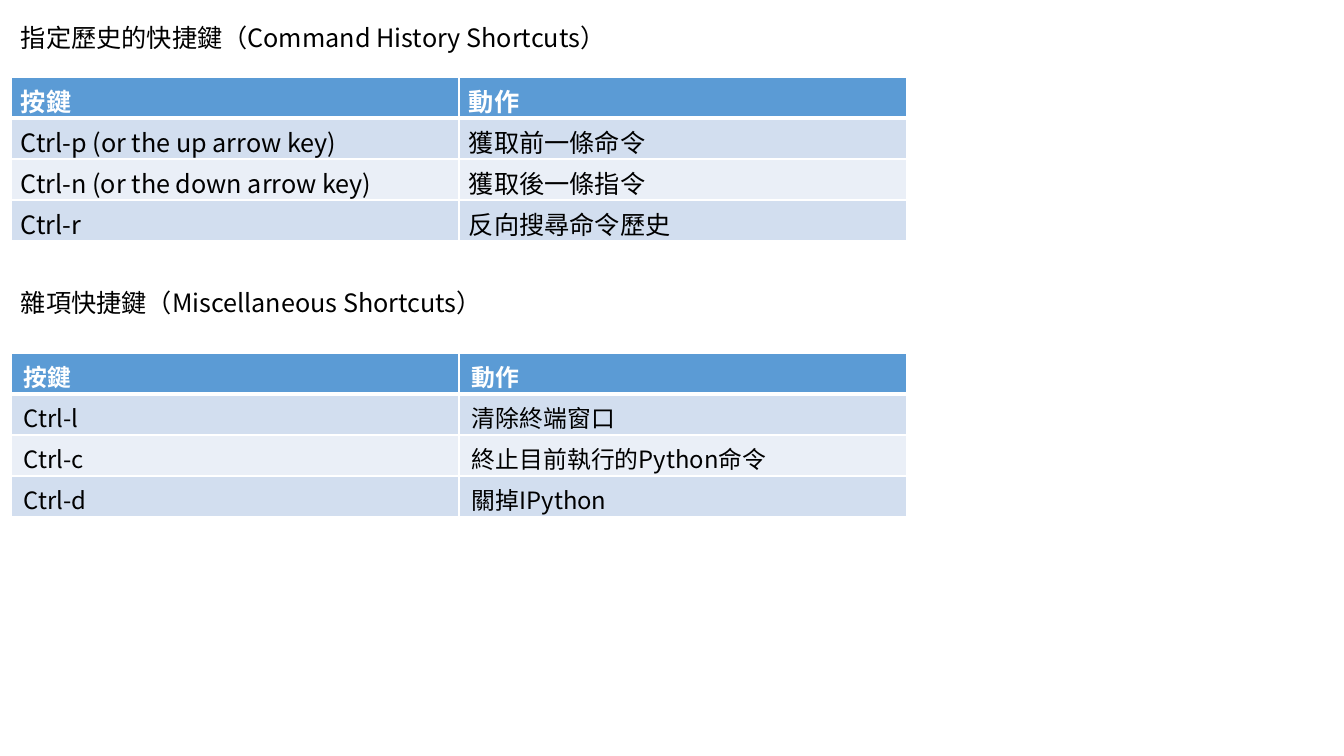
import pptx
import pptx.util
import pptx.dml.color
import pptx.enum.text
import pptx.oxml
import pptx.oxml.ns

RGB = pptx.dml.color.RGBColor
WHITE = RGB(0xFF, 0xFF, 0xFF)
BLACK = RGB(0x00, 0x00, 0x00)
HEADER = RGB(0x5B, 0x9B, 0xD5)
BANDS = [RGB(0xEA, 0xEF, 0xF7), RGB(0xD2, 0xDE, 0xEF)]
FONT = "Noto Sans CJK SC"
PX = 914400 / 100.8
LEFT, COLUMN, ROW = 11, 448, 41

SECTIONS = [
    dict(heading="指定歷史的快捷鍵（Command History Shortcuts）",
         box=(17, 621), table_top=77, size=18, margins=(10, 5),
         anchor=pptx.enum.text.MSO_ANCHOR.TOP,
         rows=[("按鍵", "動作"),
               ("Ctrl-p (or the up arrow key)", "獲取前一條命令"),
               ("Ctrl-n (or the down arrow key)", "獲取後一條指令"),
               ("Ctrl-r", "反向搜尋命令歷史")]),
    dict(heading="雜項快捷鍵（Miscellaneous Shortcuts）",
         box=(282, 489), table_top=353, size=17, margins=(13, 6),
         anchor=pptx.enum.text.MSO_ANCHOR.MIDDLE,
         rows=[("按鍵", "動作"),
               ("Ctrl-l", "清除終端窗口"),
               ("Ctrl-c", "終止目前執行的Python命令"),
               ("Ctrl-d", "關掉IPython")]),
]


def write(tf, text, size, color, bold=False):
    """Put one formatted run into a text frame."""
    r = tf.paragraphs[0].add_run()
    r.text = text
    formats = {"name": FONT, "size": pptx.util.Pt(size), "bold": bold}
    for name, value in formats.items():
        setattr(r.font, name, value)
    r.font.color.rgb = color
    ea = pptx.oxml.parse_xml(
        f'<a:ea {pptx.oxml.ns.nsdecls("a")} typeface="{FONT}"/>')
    r.font._element.find(pptx.oxml.ns.qn("a:latin")).addnext(ea)


def add_borders(cell, row):
    """Draw white cell borders, thicker below the header row."""
    widths = {"L": 1, "R": 1, "T": 3 if row == 1 else 1, "B": 3 if row == 0 else 1}
    for side, width in widths.items():
        cell._tc.get_or_add_tcPr().append(pptx.oxml.parse_xml(
            f'<a:ln{side} {pptx.oxml.ns.nsdecls("a")} w="{pptx.util.Pt(width)}">'
            f'<a:solidFill><a:srgbClr val="{WHITE}"/></a:solidFill></a:ln{side}>'))


prs = pptx.Presentation()
prs.slide_width = round(1344 * PX)
prs.slide_height = round(756 * PX)
s = prs.slides.add_slide(prs.slide_layouts[6])

for section in SECTIONS:
    top, width = section["box"]
    sp = s.shapes.add_textbox(*[round(v * PX) for v in (LEFT, top, width, 40)])
    sp.text_frame.word_wrap = True
    sp.text_frame.auto_size = pptx.enum.text.MSO_AUTO_SIZE.SHAPE_TO_FIT_TEXT
    write(sp.text_frame, section["heading"], 18, BLACK)

    rows = section["rows"]
    area = (LEFT, section["table_top"], 2 * COLUMN, len(rows) * ROW)
    table = s.shapes.add_table(len(rows), 2, *[round(v * PX) for v in area]).table
    side, edge = [round(v * PX) for v in section["margins"]]
    for i, texts in enumerate(rows):
        for j, text in enumerate(texts):
            cell = table.cell(i, j)
            formats = {"margin_left": side, "margin_right": side,
                       "margin_top": edge, "margin_bottom": edge,
                       "vertical_anchor": section["anchor"]}
            for name, value in formats.items():
                setattr(cell, name, value)
            add_borders(cell, i)
            cell.fill.solid()
            cell.fill.fore_color.rgb = BANDS[i % 2] if i else HEADER
            write(cell.text_frame, text, section["size"],
                  BLACK if i else WHITE, bold=i == 0)

prs.save("out.pptx")
